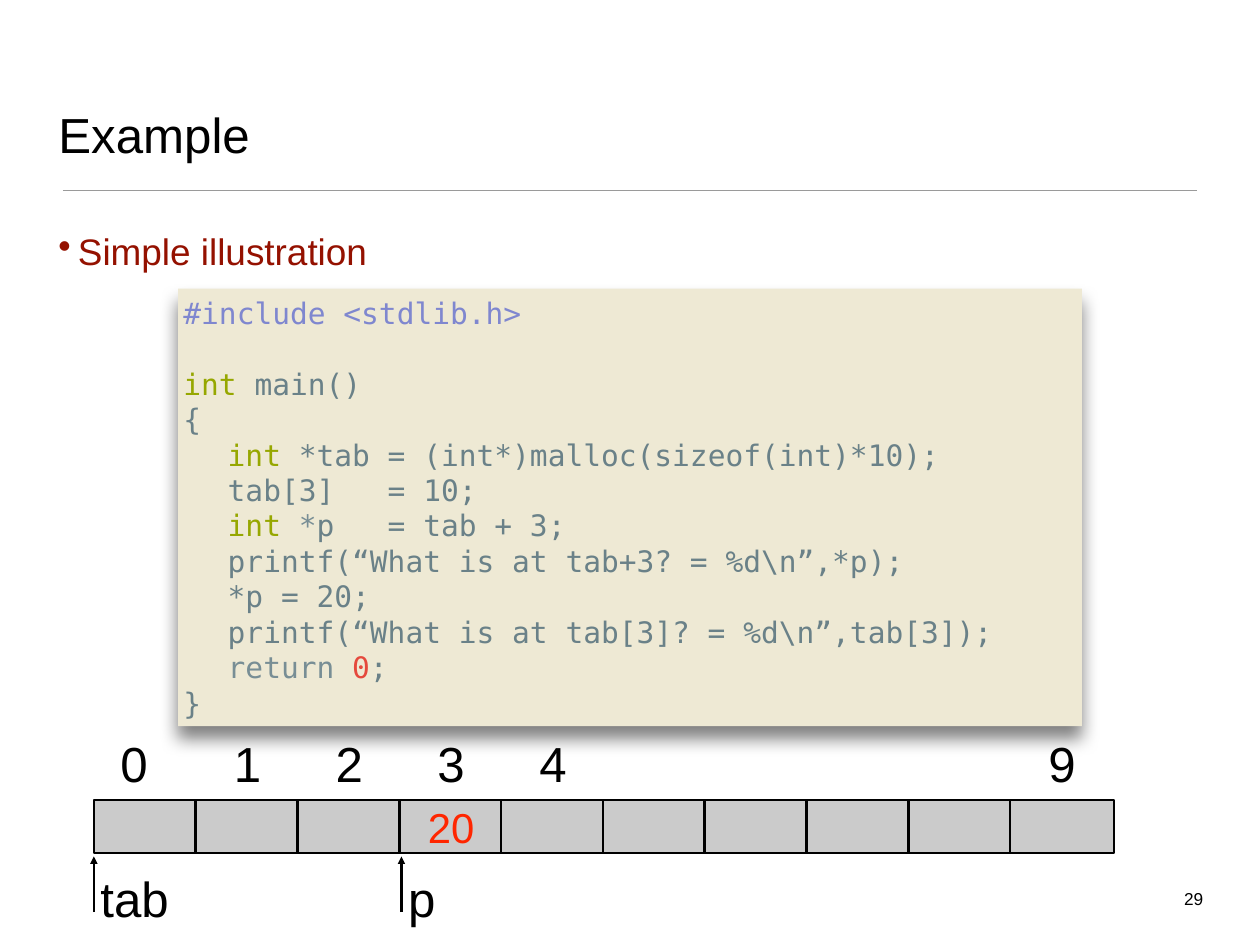
"""Build the slide that illustrates pointers into an array."""
from dataclasses import dataclass

from lxml import etree
from pptx import Presentation
from pptx import util as u
from pptx.dml.color import RGBColor
from pptx.enum import shapes, text
from pptx.oxml import ns


@dataclass(frozen=True)
class Theme:
    """Colours, fonts and type sizes."""
    sans: str = "Arial"
    mono: str = "DejaVu Sans Mono"
    ink: str = "000000"
    rule: str = "9A9A9A"
    topic: str = "941100"
    value: str = "FF2600"
    cell: str = "CBCBCB"
    paper: str = "EEE9D4"
    directive: str = "7F87CF"
    keyword: str = "96A700"
    plain: str = "6A8188"
    muted: str = "788E95"
    number: str = "E5493D"
    heading_size: int = 40
    value_size: int = 34
    topic_size: int = 30
    code_size: int = 24
    page_size: int = 14
    code_pitch: float = 28.8


class SlideWriter:
    """Draw styled elements, placed by percent of the slide's size."""

    def __init__(self, deck, theme):
        """Start a blank page in the deck."""
        self.deck, self.theme = deck, theme
        self.page = deck.slides.add_slide(deck.slide_layouts[6])

    def place(self, *shares):
        """Turn alternating x and y percentages into lengths."""
        sides = (self.deck.slide_width, self.deck.slide_height)
        return [u.Emu(round(sides[i % 2] * share / 100)) for i, share in enumerate(shares)]

    def add_xml(self, parent, tag, **attributes):
        """Append a drawing element to the parent."""
        return etree.SubElement(parent, ns.qn(tag), attributes)

    def style(self, para, size, colour, font=None):
        """Set the font of a paragraph."""
        para.font.name = font or self.theme.sans
        para.font.size = u.Pt(size)
        para.font.color.rgb = RGBColor.from_string(colour)

    def setup(self, frame, anchor, inset=0.04, wrap=True):
        """Set the anchor, insets and wrapping of a text frame."""
        frame.word_wrap = wrap
        frame.vertical_anchor = anchor
        frame.margin_left = frame.margin_right = u.Inches(inset)
        frame.margin_top = frame.margin_bottom = u.Inches(inset)

    def label(self, words, area, size, colour=None, anchor=text.MSO_ANCHOR.MIDDLE,
              align=text.PP_ALIGN.CENTER, inset=0.06, wrap=False):
        """Add a one-line text box and return its paragraph."""
        box = self.page.shapes.add_textbox(*self.place(*area))
        self.setup(box.text_frame, anchor, inset, wrap)
        para = box.text_frame.paragraphs[0]
        para.text, para.alignment = words, align
        self.style(para, size, colour or self.theme.ink)
        return para

    def bullet(self, words, area):
        """Add a bulleted topic."""
        para = self.label(words, area, self.theme.topic_size, self.theme.topic,
                          text.MSO_ANCHOR.TOP, text.PP_ALIGN.LEFT, 0.04, True)
        properties = para._p.get_or_add_pPr()
        hang = u.Inches(0.22)
        properties.set("marL", str(hang))
        properties.set("indent", str(-hang))
        self.add_xml(properties, "a:buChar", char="•")

    def line(self, ends, colour, width, arrow=False):
        """Add a straight line, with an arrowhead at its end if wanted."""
        line = self.page.shapes.add_connector(shapes.MSO_CONNECTOR.STRAIGHT, *self.place(*ends))
        line.line.color.rgb = RGBColor.from_string(colour)
        line.line.width = u.Pt(width)
        if arrow:
            self.add_xml(line.line._get_or_add_ln(), "a:tailEnd", type="triangle")
        self.add_xml(line._element.spPr, "a:effectLst")

    def rectangle(self, area, fill, outline=None):
        """Add a filled rectangle without a shadow."""
        box = self.page.shapes.add_shape(shapes.MSO_SHAPE.RECTANGLE, *self.place(*area))
        box.shadow.inherit = False
        box.fill.solid()
        box.fill.fore_color.rgb = RGBColor.from_string(fill)
        if outline:
            box.line.color.rgb = RGBColor.from_string(outline)
            box.line.width = u.Pt(2)
        else:
            box.line.fill.background()
        return box

    def cell(self, area, words=""):
        """Add an array cell with an optional value."""
        box = self.rectangle(area, self.theme.cell, self.theme.ink)
        if words:
            self.setup(box.text_frame, text.MSO_ANCHOR.MIDDLE)
            para = box.text_frame.paragraphs[0]
            para.text, para.alignment = words, text.PP_ALIGN.CENTER
            self.style(para, self.theme.value_size, self.theme.value)

    def code(self, area, lines):
        """Add a shadowed panel of coloured code lines."""
        box = self.rectangle(area, self.theme.paper)
        effects = box._element.spPr.find(ns.qn("a:effectLst"))
        shadow = self.add_xml(effects, "a:outerShdw", blurRad=str(u.Pt(14)),
                              dist=str(u.Pt(11)), dir="5400000", rotWithShape="0")
        tint = self.add_xml(shadow, "a:srgbClr", val=self.theme.ink)
        self.add_xml(tint, "a:alpha", val="50000")
        frame = box.text_frame
        self.setup(frame, text.MSO_ANCHOR.MIDDLE, 0.06)
        for row, (indent, gap, spans) in enumerate(lines):
            para = frame.add_paragraph() if row else frame.paragraphs[0]
            para.alignment = text.PP_ALIGN.LEFT
            para.line_spacing = u.Pt(self.theme.code_pitch)
            para.space_before = u.Pt(gap * self.theme.code_pitch)
            para._p.get_or_add_pPr().set("marL", str(u.Inches(0.5 * indent)))
            self.style(para, self.theme.code_size, self.theme.plain, self.theme.mono)
            for words, colour in spans:
                span = para.add_run()
                span.text = words
                span.font.color.rgb = RGBColor.from_string(colour)


def main():
    """Compose the slide and save the deck."""
    deck = Presentation()
    deck.slide_width, deck.slide_height = u.Inches(14.22), u.Inches(10.67)
    theme = Theme()
    slide = SlideWriter(deck, theme)
    top, left = text.MSO_ANCHOR.TOP, text.PP_ALIGN.LEFT

    slide.label("Example", (4.36, 3.37, 91.21, 14.34), theme.heading_size,
                anchor=text.MSO_ANCHOR.BOTTOM, align=left, inset=0.04, wrap=True)
    slide.line((5, 20.15, 95, 20.15), theme.rule, 1)
    slide.bullet("Simple illustration", (4.36, 23.81, 91.21, 7.78))

    plain, keyword = theme.plain, theme.keyword
    slide.code((14.14, 30.55, 71.73, 46.3), [
        (0, 0, [("#include <stdlib.h>", theme.directive)]),
        (0, 1, [("int ", keyword), ("main()", plain)]),
        (0, 0, [("{", plain)]),
        (1, 0, [("int ", keyword), ("*tab = (int*)malloc(sizeof(int)*10);", plain)]),
        (1, 0, [("tab[3]   = 10;", plain)]),
        (1, 0, [("int ", keyword), ("*", theme.muted), ("p   = tab + 3;", plain)]),
        (1, 0, [("printf(“What is at tab+3? = %d\\n”,*p);", plain)]),
        (1, 0, [("*p = 20;", plain)]),
        (1, 0, [("printf(“What is at tab[3]? = %d\\n”,tab[3]);", plain)]),
        (1, 0, [("return ", theme.muted), ("0", theme.number), (";", plain)]),
        (0, 0, [("}", plain)]),
    ])

    start, step, width = 7.45, 8.08, 8.23
    values = {3: "20"}
    for index in range(10):
        slide.cell((start + index * step, 84.63, width, 5.62), values.get(index, ""))
    nudges = {0: -0.92}
    for index in (0, 1, 2, 3, 4, 9):
        area = (start + index * step + nudges.get(index, 0), 77.04, width, 7.31)
        slide.label(str(index), area, theme.heading_size)
    for name, x, span in (("tab", start, 6.33), ("p", 31.86, 3.09)):
        slide.line((x, 96.53, x, 90.63), theme.ink, 2, arrow=True)
        slide.label(name, (x + 0.07, 91.38, span, 7.31), theme.heading_size)
    slide.label("29", (93.6, 93.63, 2.18, 2.81), theme.page_size, anchor=top,
                align=text.PP_ALIGN.RIGHT, inset=0.04)
    deck.save("out.pptx")


if __name__ == "__main__":
    main()
